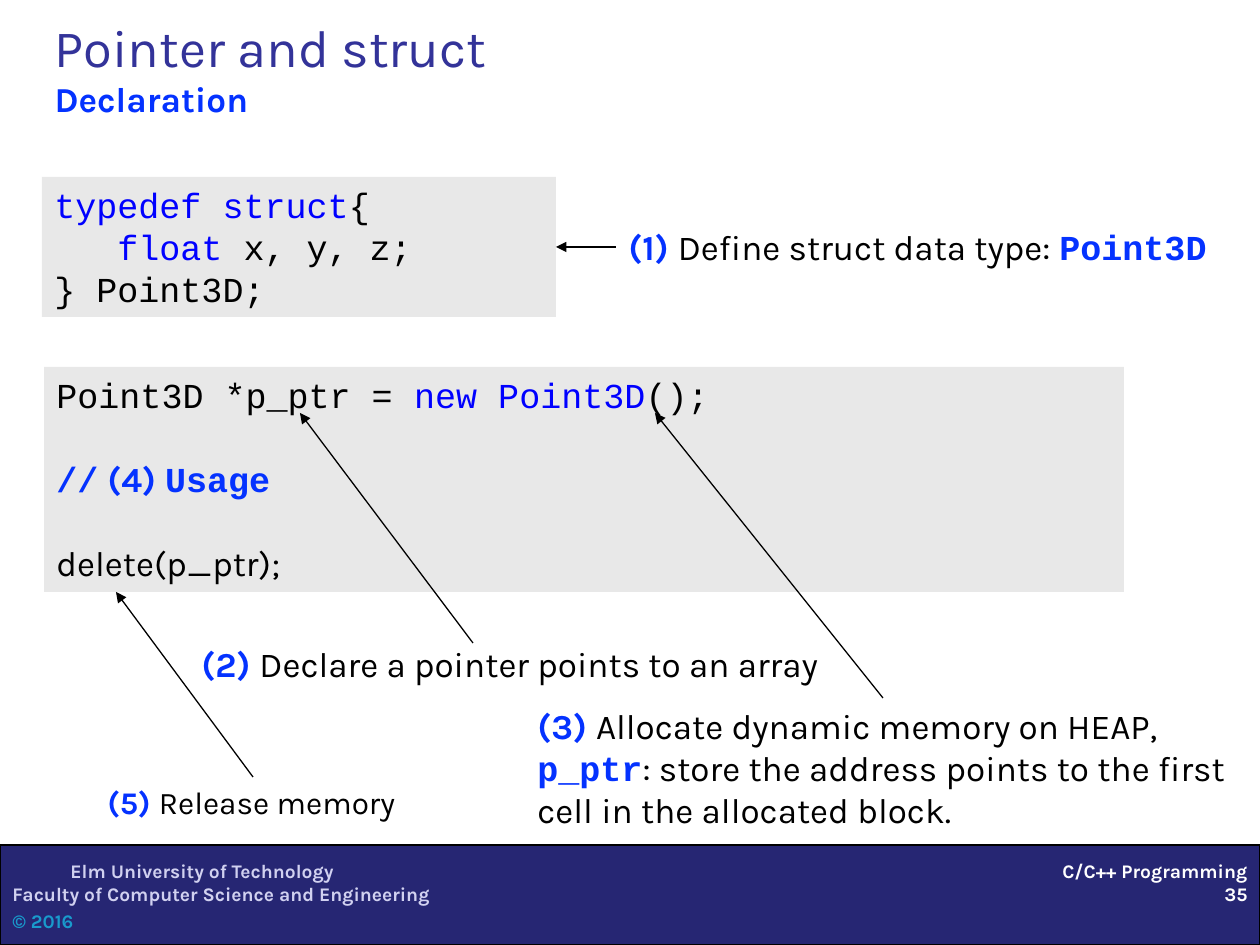
from dataclasses import dataclass
from typing import Optional

from lxml import etree
from pptx import Presentation
from pptx.dml.color import RGBColor
from pptx.enum.shapes import MSO_CONNECTOR, MSO_SHAPE
from pptx.enum.text import MSO_ANCHOR, MSO_AUTO_SIZE, PP_ALIGN
from pptx.oxml.ns import qn
from pptx.util import Emu, Pt

RECTANGLE = MSO_SHAPE.RECTANGLE
STRAIGHT = MSO_CONNECTOR.STRAIGHT
LEFT, RIGHT = PP_ALIGN.LEFT, PP_ALIGN.RIGHT
TOP, BOTTOM = MSO_ANCHOR.TOP, MSO_ANCHOR.BOTTOM
NO_AUTOFIT = MSO_AUTO_SIZE.NONE
SIDE_TOP, SIDE_LEFT, SIDE_RIGHT = 0, 1, 3

EMU_PER_PX = 914400 / 126
SANS, MONO = "Karla", "Courier New"
BLACK, WHITE, GREY, NAVY = "000000", "FFFFFF", "E8E8E8", "262673"
KEYWORD, ACCENT, TITLE = "0000FF", "0432FF", "333399"
LINE_PITCH = 24  # points


@dataclass(frozen=True)
class Run:
    text: str
    color: str = BLACK
    font: str = SANS
    size: int = 20
    bold: bool = False


@dataclass(frozen=True)
class Line:
    runs: tuple
    align: int = LEFT
    before: float = 0
    pitch: Optional[int] = LINE_PITCH
    indent: int = 0


@dataclass(frozen=True)
class Box:
    left: int
    top: int
    width: int
    height: int
    lines: tuple = ()
    wrap: bool = True


@dataclass(frozen=True)
class Arrow:
    start: tuple
    end: tuple
    start_join: Optional[tuple] = None  # (shape, side)
    end_join: Optional[tuple] = None


def px(value: int) -> Emu:
    return Emu(round(value * EMU_PER_PX))


def rgb(value: str) -> RGBColor:
    return RGBColor.from_string(value)


def place(box: Box) -> tuple:
    return tuple(px(v) for v in (box.left, box.top, box.width, box.height))


def add_run(paragraph, run: Run) -> None:
    item = paragraph.add_run()
    item.text = run.text
    values = {"name": run.font, "size": Pt(run.size), "bold": run.bold}
    for name, value in values.items():
        setattr(item.font, name, value)
    item.font.color.rgb = rgb(run.color)


def write(shape, box: Box) -> None:
    frame = shape.text_frame
    frame.word_wrap = box.wrap
    frame.vertical_anchor = TOP
    for index, line in enumerate(box.lines):
        paragraph = frame.add_paragraph() if index else frame.paragraphs[0]
        values = {"alignment": line.align, "space_before": Pt(line.before),
                  "line_spacing": Pt(line.pitch) if line.pitch else None}
        for name, value in values.items():
            setattr(paragraph, name, value)
        if line.indent:
            paragraph._p.get_or_add_pPr().set("marL", str(px(line.indent)))
        for run in line.runs:
            add_run(paragraph, run)


def add_text(slide, box: Box):
    shape = slide.shapes.add_textbox(*place(box))
    write(shape, box)
    return shape


def add_panel(slide, box: Box, fill: str, outline: Optional[str] = None):
    shape = slide.shapes.add_shape(RECTANGLE, *place(box))
    shape.shadow.inherit = False
    shape.fill.solid()
    shape.fill.fore_color.rgb = rgb(fill)
    if outline:
        shape.line.color.rgb = rgb(outline)
        shape.line.width = Pt(0.75)
    else:
        shape.line.fill.background()
    write(shape, box)
    return shape


def add_arrow(slide, arrow: Arrow) -> None:
    points = [px(v) for v in arrow.start + arrow.end]
    connector = slide.shapes.add_connector(STRAIGHT, *points)
    if arrow.start_join:
        connector.begin_connect(*arrow.start_join)
    if arrow.end_join:
        connector.end_connect(*arrow.end_join)
    connector.line.color.rgb = rgb(BLACK)
    connector.line.width = Pt(0.75)
    etree.SubElement(connector.line._get_or_add_ln(), qn("a:tailEnd"), type="triangle")
    etree.SubElement(connector._element.spPr, qn("a:effectLst"))


def code(text: str, color: str = BLACK, bold: bool = False) -> Run:
    return Run(text, color, MONO, bold=bold)


def label(number: int, text: str, size: int = 20) -> tuple:
    return Run(f"({number}) ", ACCENT, size=size, bold=True), Run(text, size=size)


def footer(text: str, color: str, **layout) -> Line:
    return Line((Run(text, color, size=11, bold=True),), pitch=None, **layout)


def add_title(slide) -> None:
    title = slide.shapes.title
    box = Box(42, 10, 1187, 116)
    title.left, title.top, title.width, title.height = place(box)
    frame = title.text_frame
    values = {"vertical_anchor": BOTTOM, "auto_size": NO_AUTOFIT, "word_wrap": True}
    for name, value in values.items():
        setattr(frame, name, value)
    paragraph = frame.paragraphs[0]
    paragraph.alignment = LEFT
    add_run(paragraph, Run("Pointer and struct", TITLE, size=30))
    paragraph.add_line_break()
    add_run(paragraph, Run("Declaration", ACCENT, bold=True))


def main() -> None:
    presentation = Presentation()
    presentation.slide_width, presentation.slide_height = px(1260), px(945)
    slide = presentation.slides.add_slide(presentation.slide_layouts[5])

    # Footer band
    add_panel(slide, Box(0, 845, 1260, 100), NAVY, BLACK)
    add_text(slide, Box(0, 853, 662, 87, (
        footer("Elm University of Technology", "D1D1F0", indent=58),
        footer("Faculty of Computer Science and Engineering", "D1D1F0"),
        footer("© 2016", "199ACC", before=2.2))))
    add_text(slide, Box(525, 853, 735, 59, (
        footer("C/C++ Programming", WHITE, align=RIGHT),
        footer("35", WHITE, align=RIGHT))))

    add_title(slide)

    # Code panels
    struct_panel = add_panel(slide, Box(42, 177, 514, 140, (
        Line((code("typedef struct", KEYWORD), code("{"))),
        Line((code("\t"), code("float", KEYWORD), code(" x, y, z;"))),
        Line((code("} Point3D;"),)))), GREY)
    add_panel(slide, Box(44, 367, 1080, 225, (
        Line((code("Point3D *p_ptr = "), code("new Point3D", KEYWORD), code("();"))),
        Line((code("//", ACCENT, True), Run(" (4) ", ACCENT, bold=True),
              code("Usage", ACCENT, True)), before=LINE_PITCH),
        Line((Run("delete(p_ptr);"),), before=LINE_PITCH))), GREY)

    # Numbered notes
    define = add_text(slide, Box(616, 219, 607, 56, (
        Line(label(1, "Define struct data type: ")
             + (code("Point3D", ACCENT, True),)),), wrap=False))
    add_text(slide, Box(189, 636, 645, 56, (
        Line(label(2, "Declare a pointer points to an array")),), wrap=False))
    allocate = add_text(slide, Box(525, 698, 716, 140, (
        Line(label(3, "Allocate dynamic memory on HEAP,")),
        Line((code("p_ptr", ACCENT, True),
              Run(": store the address points to the first cell in the allocated block."))))))
    release = add_text(slide, Box(95, 777, 316, 51, (
        Line(label(5, "Release memory", 18), pitch=None),), wrap=False))

    # Arrows from notes to code
    for arrow in (
        Arrow((616, 247), (556, 247), (define, SIDE_LEFT), (struct_panel, SIDE_RIGHT)),
        Arrow((473, 643), (300, 413)),
        Arrow((883, 698), (655, 413), (allocate, SIDE_TOP)),
        Arrow((253, 777), (116, 592), (release, SIDE_TOP)),
    ):
        add_arrow(slide, arrow)

    presentation.save("out.pptx")


if __name__ == "__main__":
    main()
